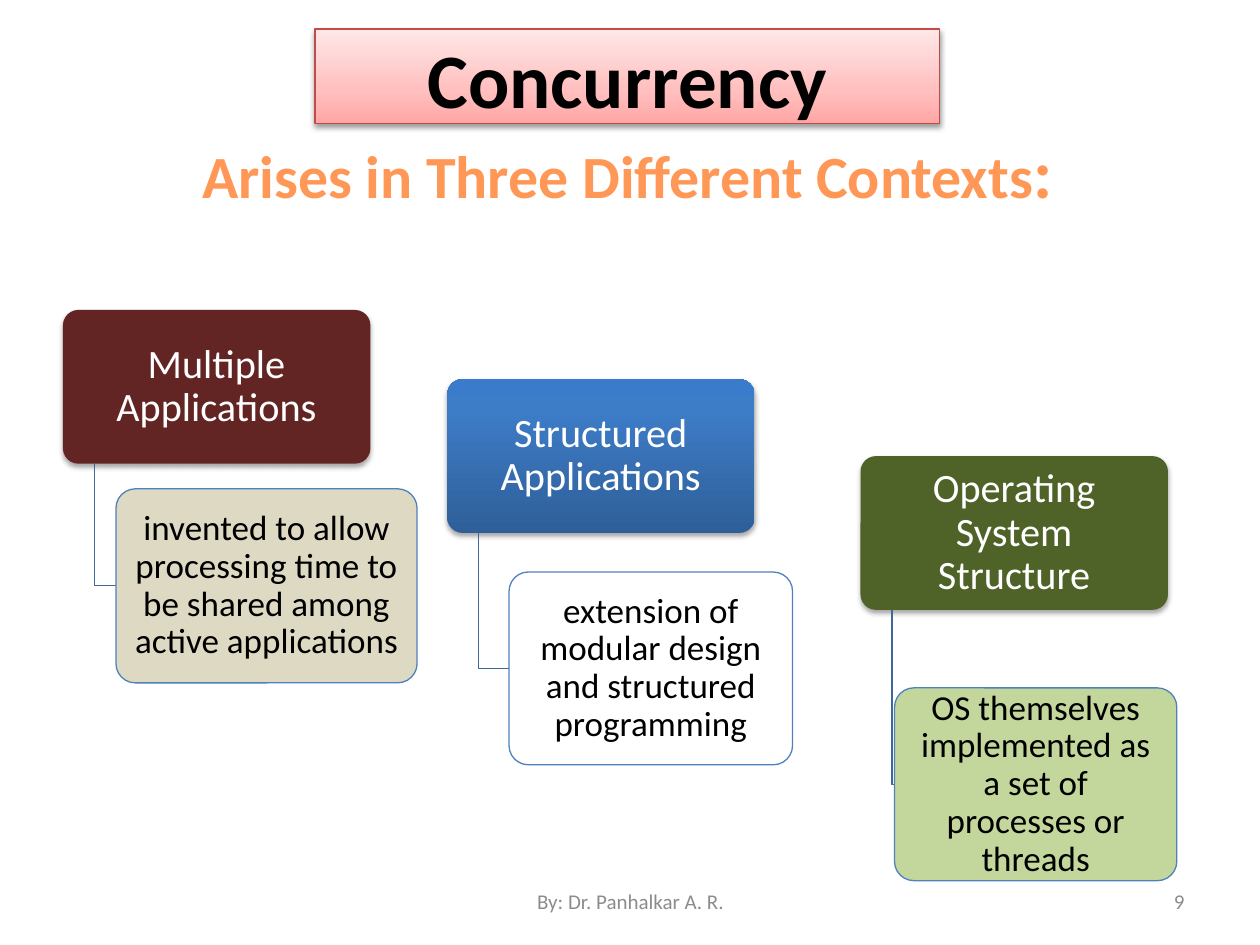
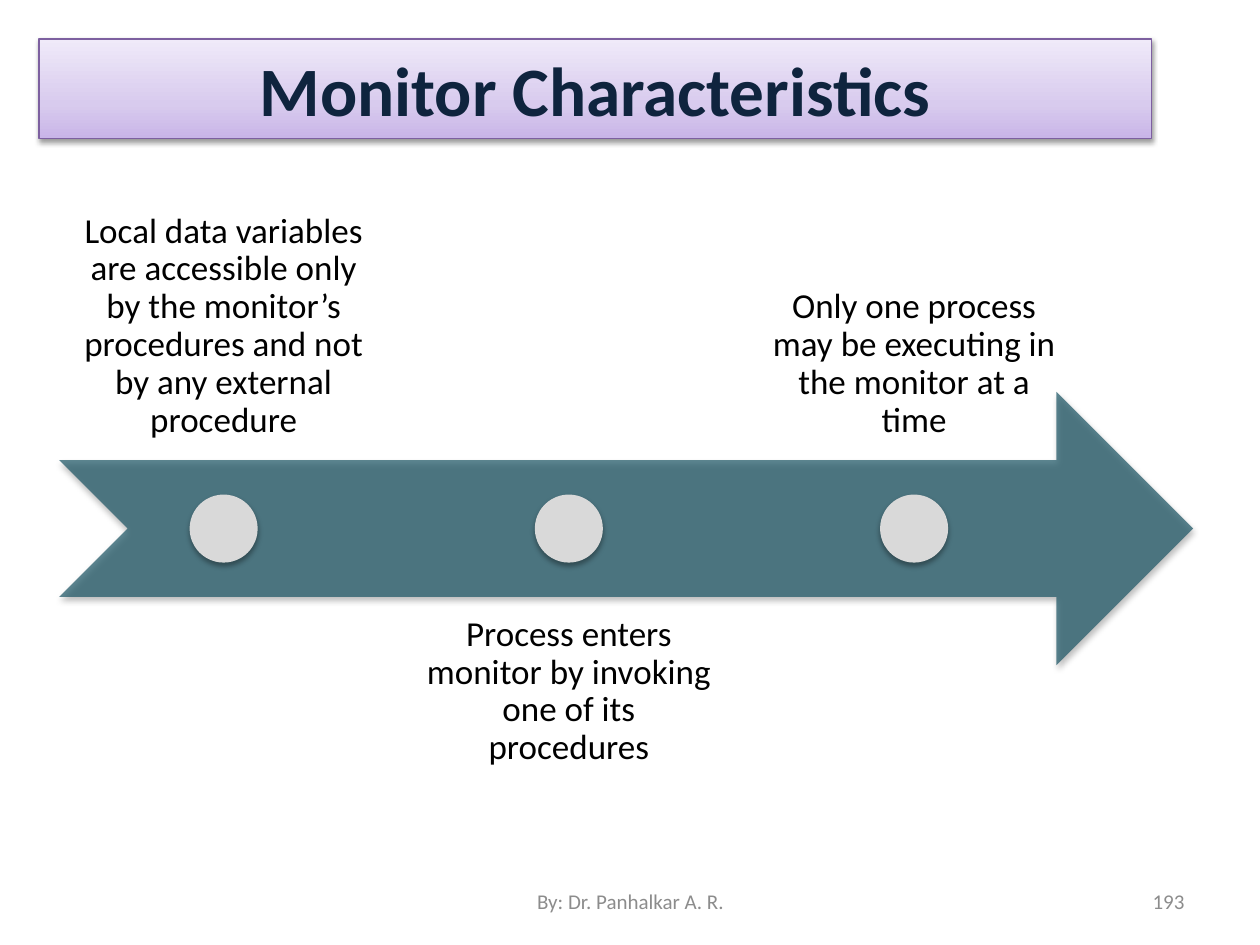
from lxml.etree import SubElement
from pptx import Presentation
from pptx.dml.color import RGBColor
from pptx.enum.shapes import MSO_SHAPE as Preset
from pptx.enum.text import MSO_ANCHOR as Anchor, MSO_AUTO_SIZE as AutoSize, PP_ALIGN as Align
from pptx.oxml.ns import qn
from pptx.util import Inches, Pt

FONT = "Calibri"
TITLE_ONLY = 5
COLORS = {
    "black": "000000", "white": "FFFFFF", "footer": "8C8C8C",
    "orange": "FF9856", "navy": "0F243E",
    "maroon": "632523", "sand": "DDD9C3", "olive": "4F6228", "lime": "C3D69B",
    "elbow": "3F6797", "detail_line": "4F81BD",
    "red_line": "BF4C48", "purple_line": "7D60A0",
    "teal": "215968", "dot": "D9D9D9",
}
# Gradient stops as (percent, colour), running from bottom to top
GRADIENTS = {
    "red": [(0, "FFA6A5"), (35, "FFC0BF"), (100, "FFE7E7")],
    "purple": [(0, "C9B5E8"), (35, "D8CBEE"), (100, "F0EAF9")],
    "blue": [(0, "2F5F99"), (80, "3D7CC7"), (100, "3A7CCB")],
}
FOOTER = "By: Dr. Panhalkar A. R."

# Heading, its left, top and fill; detail, its box and fill
CONTEXTS = [
    ("Multiple Applications", (0.5, 2.46), "maroon",
     "invented to allow processing time to be shared among active applications",
     (0.92, 3.88, 2.39, 1.54), "sand"),
    ("Structured Applications", (3.55, 3.01), "blue",
     "extension of modular design and structured programming",
     (4.04, 4.54, 2.25, 1.53), "white"),
    ("Operating System Structure", (6.83, 3.62), "olive",
     "OS themselves implemented as a set of processes or threads",
     (7.1, 5.46, 2.24, 1.53), "lime"),
]
HEADING_WIDTH, HEADING_HEIGHT, ELBOW_INDENT = 2.44, 1.22, 0.25

CHARACTERISTICS = [
    "Local data variables are accessible only by the monitor’s procedures "
    "and not by any external procedure",
    "Process enters monitor by invoking one of its procedures",
    "Only one process may be executing in the monitor at a time",
]
ARROW = (0.47, 3.11, 9, 2.17)
NOTE_WIDTH, NOTE_STEP, DOT_SIZE = 2.61, 2.74, 0.54
NOTE_TOPS = (1.48, 4.73)  # above and below the arrow


def rgb(name):
    return RGBColor.from_string(COLORS[name])


def lengths(box):
    return [Inches(value) for value in box]


def set_fill(shape, name, opacity=100):
    if name in GRADIENTS:
        shape.fill.gradient()
        shape.fill.gradient_angle = 90
        stops = shape._element.spPr.find(".//" + qn("a:gsLst"))
        for stop in list(stops):
            stops.remove(stop)
        for percent, color in GRADIENTS[name]:
            stop = SubElement(stops, qn("a:gs"), pos=str(percent * 1000))
            SubElement(stop, qn("a:srgbClr"), val=color)
        return
    shape.fill.solid()
    shape.fill.fore_color.rgb = rgb(name)
    if opacity < 100:
        color = shape._element.spPr.find(".//" + qn("a:srgbClr"))
        SubElement(color, qn("a:alpha"), val=str(opacity * 1000))


def set_line(shape, name):
    if name is None:
        shape.line.fill.background()
    else:
        shape.line.color.rgb = rgb(name)
        shape.line.width = Pt(0.75)


def set_shadow(shape, opacity=None, distance=1.8):
    """Drop a soft shadow straight down, or none without an opacity."""
    shape.shadow.inherit = False
    if opacity is None:
        return
    effects = shape._element.spPr.find(qn("a:effectLst"))
    shadow = SubElement(effects, qn("a:outerShdw"), blurRad=str(Pt(3.1)),
                        dist=str(Pt(distance)), dir="5400000", rotWithShape="0")
    color = SubElement(shadow, qn("a:srgbClr"), val=COLORS["black"])
    SubElement(color, qn("a:alpha"), val=str(opacity * 1000))


def write(shape, runs, color="black", bold=False, align=Align.CENTER,
          anchor=Anchor.MIDDLE, margins=(0.1, 0.05), spacing=None):
    """Write one paragraph of (text, size) runs."""
    frame = shape.text_frame
    frame.word_wrap = True
    frame.auto_size = AutoSize.NONE
    frame.vertical_anchor = anchor
    frame.margin_left = frame.margin_right = Inches(margins[0])
    frame.margin_top = frame.margin_bottom = Inches(margins[1])
    paragraph = frame.paragraphs[0]
    paragraph.alignment = align
    if spacing:
        paragraph.line_spacing = spacing
    for text, size in runs:
        run = paragraph.add_run()
        run.text = text
        run.font.name = FONT
        run.font.size = Pt(size)
        run.font.bold = bold
        run.font.color.rgb = rgb(color)


def add_preset(slide, preset, box, fill, line=None, shadow=None, opacity=100):
    shape = slide.shapes.add_shape(preset, *lengths(box))
    set_fill(shape, fill, opacity)
    set_line(shape, line)
    set_shadow(shape, shadow)
    return shape


def add_text(slide, box, text, size, **style):
    write(slide.shapes.add_textbox(*lengths(box)), [(text, size)], **style)


def style_band(shape, fill, line):
    set_fill(shape, fill)
    set_line(shape, line)
    set_shadow(shape, 38, 1.6)


def start_slide(presentation, title_box, title_runs, title_color, number):
    """Add a slide with its title and footer; return the slide and the title."""
    slide = presentation.slides.add_slide(presentation.slide_layouts[TITLE_ONLY])
    title = slide.shapes.title
    title.left, title.top, title.width, title.height = lengths(title_box)
    write(title, title_runs, title_color, bold=True)
    add_text(slide, (7.17, 6.95, 2.33, 0.4), str(number), 12,
             color="footer", align=Align.RIGHT)
    add_text(slide, (3.42, 6.95, 3.17, 0.4), FOOTER, 12, color="footer")
    return slide, title


def add_elbow(slide, start, end):
    """Draw a line down from start, then right to end."""
    corner = (start[0], end[1])
    builder = slide.shapes.build_freeform(*lengths(start))
    builder.add_line_segments([lengths(corner), lengths(end)], close=False)
    elbow = builder.convert_to_shape()
    elbow.fill.background()
    set_line(elbow, "elbow")
    set_shadow(elbow)


def add_node(slide, box, text, size, fill, **look):
    node = add_preset(slide, Preset.ROUNDED_RECTANGLE, box, fill, **look)
    node.adjustments[0] = 0.1
    color = "white" if size > 20 else "black"
    write(node, [(text, size)], color, margins=(0.09, 0.07), spacing=0.9)


def build_concurrency(presentation):
    slide, _ = start_slide(
        presentation, (0.7, 0.94, 8.56, 0.83),
        [("Arises in Three Different Contexts", 34.2), (":", 39.6)], "orange", 9)
    for heading, (left, top), fill, detail, detail_box, detail_fill in CONTEXTS:
        add_node(slide, (left, top, HEADING_WIDTH, HEADING_HEIGHT),
                 heading, 23, fill, shadow=35)
        detail_left, detail_top, _, detail_height = detail_box
        add_elbow(slide, (left + ELBOW_INDENT, top + HEADING_HEIGHT),
                  (detail_left, detail_top + detail_height / 2))
        add_node(slide, detail_box, detail, 20, detail_fill, line="detail_line")
    band = slide.shapes.add_shape(Preset.RECTANGLE, *lengths((2.5, 0.23, 4.96, 0.75)))
    style_band(band, "red", "red_line")
    write(band, [("Concurrency", 44)], bold=True, anchor=Anchor.TOP, margins=(0, 0.02))


def build_monitor(presentation):
    slide, title = start_slide(presentation, (0.31, 0.31, 8.83, 0.79),
                               [("Monitor Characteristics", 39.6)], "navy", 193)
    style_band(title, "purple", "purple_line")
    add_preset(slide, Preset.NOTCHED_RIGHT_ARROW, ARROW, "teal", shadow=35, opacity=73)
    arrow_left, arrow_top, _, arrow_height = ARROW
    dot_top = arrow_top + (arrow_height - DOT_SIZE) / 2
    for index, text in enumerate(CHARACTERISTICS):
        below = index % 2
        left = arrow_left + index * NOTE_STEP
        add_text(slide, (left, NOTE_TOPS[below], NOTE_WIDTH, arrow_height), text, 20,
                 anchor=Anchor.TOP if below else Anchor.BOTTOM,
                 margins=(0.16, 0.16), spacing=0.9)
        dot_left = left + (NOTE_WIDTH - DOT_SIZE) / 2
        add_preset(slide, Preset.OVAL, (dot_left, dot_top, DOT_SIZE, DOT_SIZE),
                   "dot", shadow=35)


def main():
    presentation = Presentation()
    presentation.slide_width, presentation.slide_height = Inches(10), Inches(7.5)
    build_concurrency(presentation)
    build_monitor(presentation)
    presentation.save("out.pptx")


if __name__ == "__main__":
    main()
